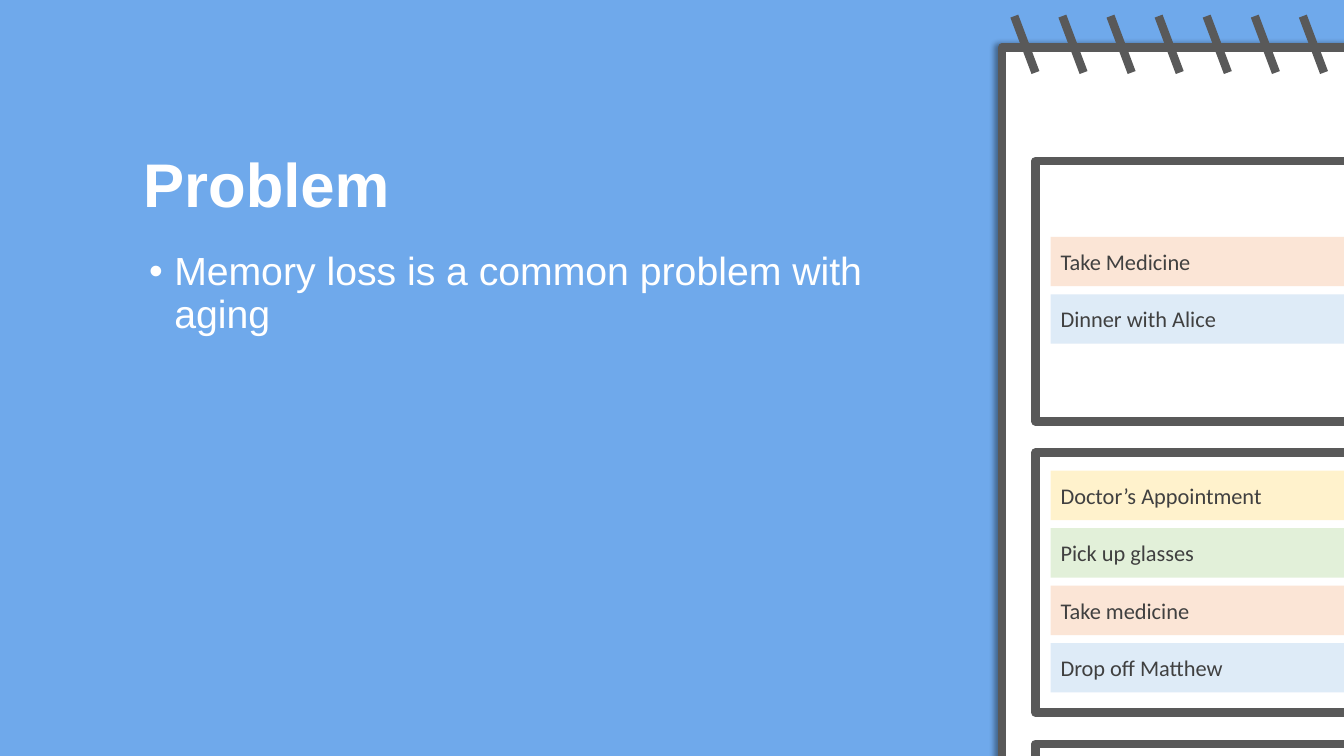
from dataclasses import dataclass

from lxml.etree import SubElement
from pptx import Presentation
from pptx.dml.color import RGBColor
from pptx.enum.shapes import MSO_CONNECTOR, MSO_SHAPE
from pptx.enum.text import MSO_ANCHOR, MSO_AUTO_SIZE, PP_ALIGN
from pptx.oxml.ns import qn
from pptx.util import Inches, Pt


@dataclass(frozen=True)
class Theme:
    background: str = "6FA9EB"
    paper: str = "FFFFFF"
    outline: str = "595959"
    note_text: str = "404040"
    shadow: str = "000000"
    peach: str = "FBE5D6"
    blue: str = "DEEBF7"
    yellow: str = "FFF2CC"
    green: str = "E2F0D9"
    heading_font: str = "Arial"
    note_font: str = "Calibri"
    title_size: int = 44
    body_size: int = 28
    note_size: int = 16
    outline_width: int = 6


@dataclass(frozen=True)
class Box:
    left: float
    top: float
    width: float
    height: float

    def inside(self, left, top, width, height):
        return Box(self.left + left, self.top + top, width, height)

    def lengths(self):
        return [Inches(value) for value in (self.left, self.top, self.width, self.height)]


THEME = Theme()
SLIDE = Box(0, 0, 13.33, 7.5)
RING_COUNT, RING_STEP = 7, 0.477
DAY_STEP, NOTE_STEP = 2.89, 0.57
DAYS = [
    (0.75, [("Take Medicine", THEME.peach), ("Dinner with Alice", THEME.blue)]),
    (0.18, [("Doctor’s Appointment", THEME.yellow), ("Pick up glasses", THEME.green),
            ("Take medicine", THEME.peach), ("Drop off Matthew", THEME.blue)]),
    (0, []),
]


def color(value):
    return RGBColor.from_string(value)


def style_text(paragraph, font_name, size, text_color, bold=False):
    paragraph.alignment = PP_ALIGN.LEFT
    paragraph.font.name = font_name
    paragraph.font.size = Pt(size)
    paragraph.font.bold = bold
    paragraph.font.color.rgb = color(text_color)


def add_rectangle(slide, box, fill, outlined=True):
    shape = slide.shapes.add_shape(MSO_SHAPE.RECTANGLE, *box.lengths())
    shape.shadow.inherit = False
    shape.fill.solid()
    shape.fill.fore_color.rgb = color(fill)
    if outlined:
        shape.line.color.rgb = color(THEME.outline)
        shape.line.width = Pt(THEME.outline_width)
    else:
        shape.line.fill.background()
    return shape


def add_left_shadow(shape):
    effects = shape._element.spPr.find(qn("a:effectLst"))
    shadow = SubElement(effects, qn("a:outerShdw"), blurRad=str(Pt(4)), dist=str(Pt(3)),
                        dir=str(180 * 60000), algn="r", rotWithShape="0")
    shadow_color = SubElement(shadow, qn("a:srgbClr"), val=THEME.shadow)
    SubElement(shadow_color, qn("a:alpha"), val="40000")


def add_rings(slide, box):
    for index in range(RING_COUNT):
        left, top, width, height = box.inside(index * RING_STEP, 0, 0.21, box.height).lengths()
        ring = slide.shapes.add_connector(
            MSO_CONNECTOR.STRAIGHT, left, top, left + width, top + height)
        ring.line.color.rgb = color(THEME.outline)
        ring.line.width = Pt(THEME.outline_width)
        SubElement(ring._element.spPr, qn("a:effectLst"))


def add_note(slide, box, text, fill):
    note = add_rectangle(slide, box, fill, outlined=False)
    frame = note.text_frame
    frame.word_wrap = True
    frame.vertical_anchor = MSO_ANCHOR.MIDDLE
    frame.text = text
    style_text(frame.paragraphs[0], THEME.note_font, THEME.note_size, THEME.note_text)


def add_day(slide, box, first_note, notes):
    add_rectangle(slide, box, THEME.paper)
    for index, (text, fill) in enumerate(notes):
        note_box = box.inside(0.15, first_note + index * NOTE_STEP, 3.29, 0.49)
        add_note(slide, note_box, text, fill)


def add_notebook(slide, box):
    page = add_rectangle(slide, box, THEME.paper)
    add_left_shadow(page)
    add_rings(slide, box.inside(0.12, -0.31, box.width, 0.56))
    for index, (first_note, notes) in enumerate(DAYS):
        day_box = box.inside(0.33, 1.13 + index * DAY_STEP, 3.89, 2.58)
        add_day(slide, day_box, first_note, notes)


def add_bullet(slide, box, text):
    frame = slide.shapes.add_textbox(*box.lengths()).text_frame
    frame.word_wrap = True
    frame.text = text
    paragraph = frame.paragraphs[0]
    paragraph.line_spacing = 0.9
    properties = paragraph._p.get_or_add_pPr()
    properties.set("marL", str(Inches(0.25)))
    properties.set("indent", str(Inches(-0.25)))
    SubElement(properties, qn("a:buFont"), typeface=THEME.heading_font)
    SubElement(properties, qn("a:buChar"), char="•")
    style_text(paragraph, THEME.heading_font, THEME.body_size, THEME.paper)


def set_title(slide, box, text):
    title = slide.shapes.title
    title.left, title.top, title.width, title.height = box.lengths()
    frame = title.text_frame
    frame.text = text
    frame.word_wrap = True
    frame.auto_size = MSO_AUTO_SIZE.NONE
    frame.vertical_anchor = MSO_ANCHOR.MIDDLE
    paragraph = frame.paragraphs[0]
    paragraph.line_spacing = 0.9
    style_text(paragraph, THEME.heading_font, THEME.title_size, THEME.paper, bold=True)


def add_problem(slide, box):
    set_title(slide, box.inside(0, 0, 4.68, 1.17), "Problem")
    add_bullet(slide, box.inside(0.06, 1.17, 8.08, 3.65),
               "Memory loss is a common problem with aging")


def main():
    presentation = Presentation()
    presentation.slide_width = Inches(SLIDE.width)
    presentation.slide_height = Inches(SLIDE.height)
    slide = presentation.slides.add_slide(presentation.slide_layouts.get_by_name("Title Only"))
    slide.background.fill.solid()
    slide.background.fill.fore_color.rgb = color(THEME.background)
    add_notebook(slide, SLIDE.inside(9.94, 0.47, 5.4, 8.02))
    add_problem(slide, SLIDE.inside(1.32, 1.28, 8.14, 4.82))
    presentation.save("out.pptx")


if __name__ == "__main__":
    main()
